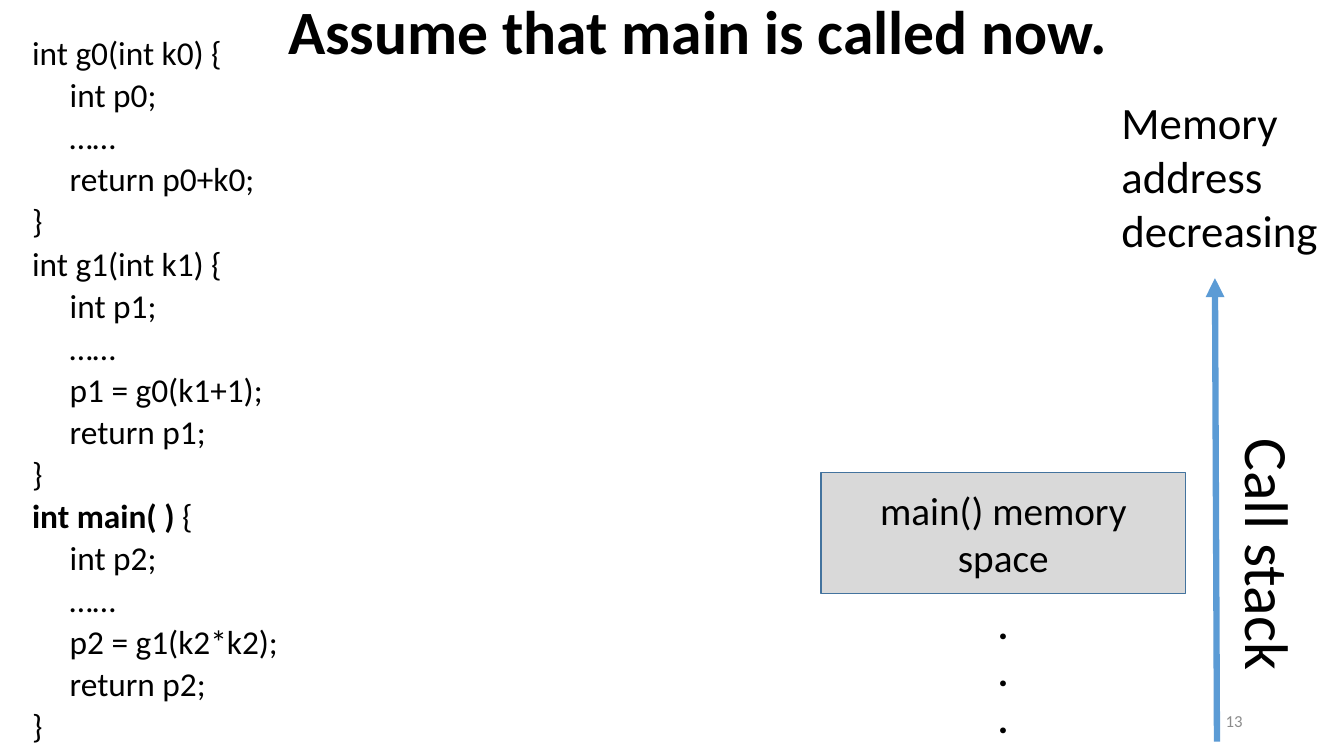
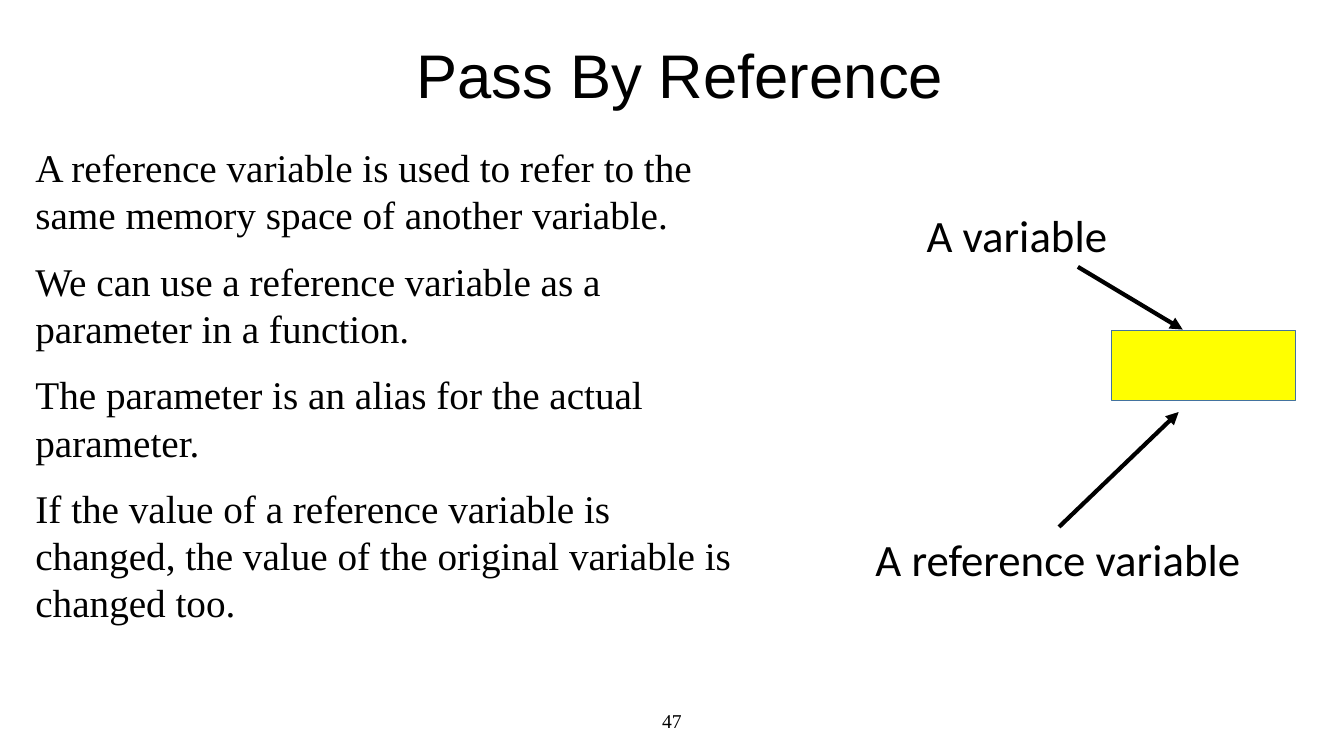
from lxml import etree
from pptx import Presentation
from pptx import util as u
from pptx.dml.color import RGBColor
from pptx.enum import shapes, text
from pptx.oxml.ns import qn

hex_colour = RGBColor.from_string
BLACK, GREY, BLUE, EDGE = "000000", "8C8C8C", "5B9BD5", "43739E"
SANS, SERIF, TITLE_SIZE = "Calibri", "Times New Roman", 44
LEFT, CENTRE, RIGHT = text.PP_ALIGN.LEFT, text.PP_ALIGN.CENTER, text.PP_ALIGN.RIGHT
TOP, MIDDLE = text.MSO_ANCHOR.TOP, text.MSO_ANCHOR.MIDDLE

deck = Presentation()
deck.slide_width, deck.slide_height = u.Inches(13.33), u.Inches(7.5)
column, row = deck.slide_width / 100, deck.slide_height / 100


def place(*lengths):
    """Turn alternating shares of width and height (in percent) into lengths."""
    return [round(share * (row if i % 2 else column)) for i, share in enumerate(lengths)]


def write(box, paragraphs, size, font=SANS, colour=BLACK, bold=False, align=LEFT,
          anchor=TOP, wrap=True, spacing=None, gap=0):
    """Fill a box; a paragraph is a string or a list of (words, bold) runs."""
    frame = box.text_frame
    frame.word_wrap, frame.vertical_anchor = wrap, anchor
    for i, runs in enumerate(paragraphs):
        para = frame.add_paragraph() if i else frame.paragraphs[0]
        para.alignment, para.line_spacing = align, spacing
        para.space_before = u.Pt(gap if i else 0)
        for words, heavy in [(runs, bold)] if isinstance(runs, str) else runs:
            span = para.add_run()
            span.text = words
            span.font.size, span.font.name, span.font.bold = u.Pt(size), font, heavy
            span.font.color.rgb = hex_colour(colour)


stack_page, reference_page = [deck.slides.add_slide(deck.slide_layouts[6]) for _ in range(2)]

code = [
    "int g0(int k0) {",
    "     int p0;",
    "     ……",
    "     return p0+k0;",
    "}",
    "int g1(int k1) {",
    "     int p1;",
    "     ……",
    "     p1 = g0(k1+1);",
    "     return p1;",
    "}",
    [("int main( ) ", True), ("{", False)],
    "     int p2;",
    "     ……",
    "     p2 = g1(k2*k2);",
    "     return p2;",
    "}",
]
explanation = [
    "A reference variable is used to refer to the same memory space of another variable.",
    "We can use a reference variable as a parameter in a function.",
    "The parameter is an alias for the actual parameter.",
    "If the value of a reference variable is changed, the value of the original variable "
    "is changed too.",
]

# Memory cells
for page, area, fill, label in [
    (stack_page, (61.1, 62.5, 27.1, 16), "D9D9D9", "main() memory space"),
    (reference_page, (82.7, 43.7, 13.7, 9.3), "FFFF00", ""),
]:
    cell = page.shapes.add_shape(shapes.MSO_SHAPE.RECTANGLE, *place(*area))
    cell.shadow.inherit = False
    cell.fill.solid()
    cell.fill.fore_color.rgb = hex_colour(fill)
    cell.line.color.rgb = hex_colour(EDGE)
    cell.line.width = u.Pt(1)
    if label:
        cell.text_frame.margin_left = cell.text_frame.margin_right = u.Inches(0.2)
        write(cell, [label], 28, align=CENTRE, anchor=MIDDLE)

# Titles, body text, labels and slide numbers
title = dict(size=TITLE_SIZE, anchor=MIDDLE, spacing=0.9)
for page, area, paragraphs, style in [
    (stack_page, (20.7, 0, 63.2, 9.2), ["Assume that main is called now."],
     dict(title, bold=True)),
    (stack_page, (1.65, 5.1, 33.1, 94.9), code, dict(size=23.8, spacing=0.7, gap=10)),
    (stack_page, (73.5, 78.7, 2.3, 20.1), ["."] * 3, dict(size=28, bold=True, wrap=False)),
    (stack_page, (82.7, 11.9, 17.3, 22.9), ["Memory address decreasing"], dict(size=32)),
    (stack_page, (70.7, 92.7, 22.5, 5.3), ["13"],
     dict(size=12, colour=GREY, align=RIGHT, anchor=MIDDLE)),
    (reference_page, (1.2, 0, 98.8, 20.8), ["Pass By Reference"],
     dict(title, font="Arial", align=CENTRE)),
    (reference_page, (1.9, 18.3, 55.2, 67.3), explanation,
     dict(size=28, font=SERIF, gap=14)),
    (reference_page, (68.2, 26.8, 15.1, 8.5), ["A variable"], dict(size=32, wrap=False)),
    (reference_page, (64.4, 69.7, 28.9, 8.5), ["A reference variable"],
     dict(size=32, wrap=False)),
    (reference_page, (33.1, 92.7, 33.8, 5.3), ["47"],
     dict(size=14, font=SERIF, align=CENTRE, anchor=MIDDLE)),
]:
    write(page.shapes.add_textbox(*place(*area)), paragraphs, **style)

stack_label = stack_page.shapes.add_textbox(*place(85, 67.9, 18.9, 11.2))
stack_label.rotation = 90
write(stack_label, ["Call stack"], 44, wrap=False)

# Arrows
for page, ends, colour, width in [
    (stack_page, (90.55, 98.1, 90.4, 36.8), BLUE, 4.5),
    (reference_page, (80.2, 35.3, 88, 43.6), BLACK, 3),
    (reference_page, (78.8, 69.7, 87.7, 54.5), BLACK, 3),
]:
    arrow = page.shapes.add_connector(shapes.MSO_CONNECTOR.STRAIGHT, *place(*ends))
    arrow.line.color.rgb = hex_colour(colour)
    arrow.line.width = u.Pt(width)
    etree.SubElement(arrow.line._get_or_add_ln(), qn("a:tailEnd"), type="triangle")
    etree.SubElement(arrow._element.spPr, qn("a:effectLst"))

deck.save("out.pptx")
